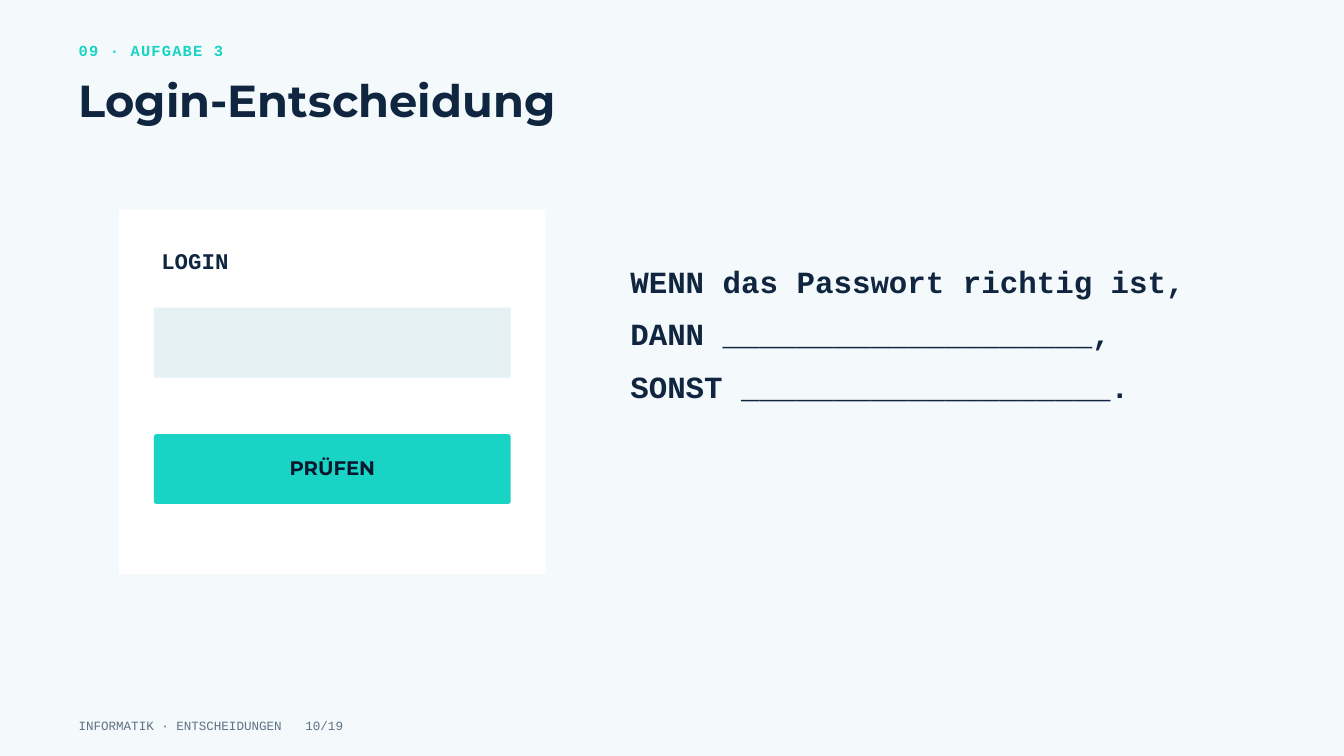
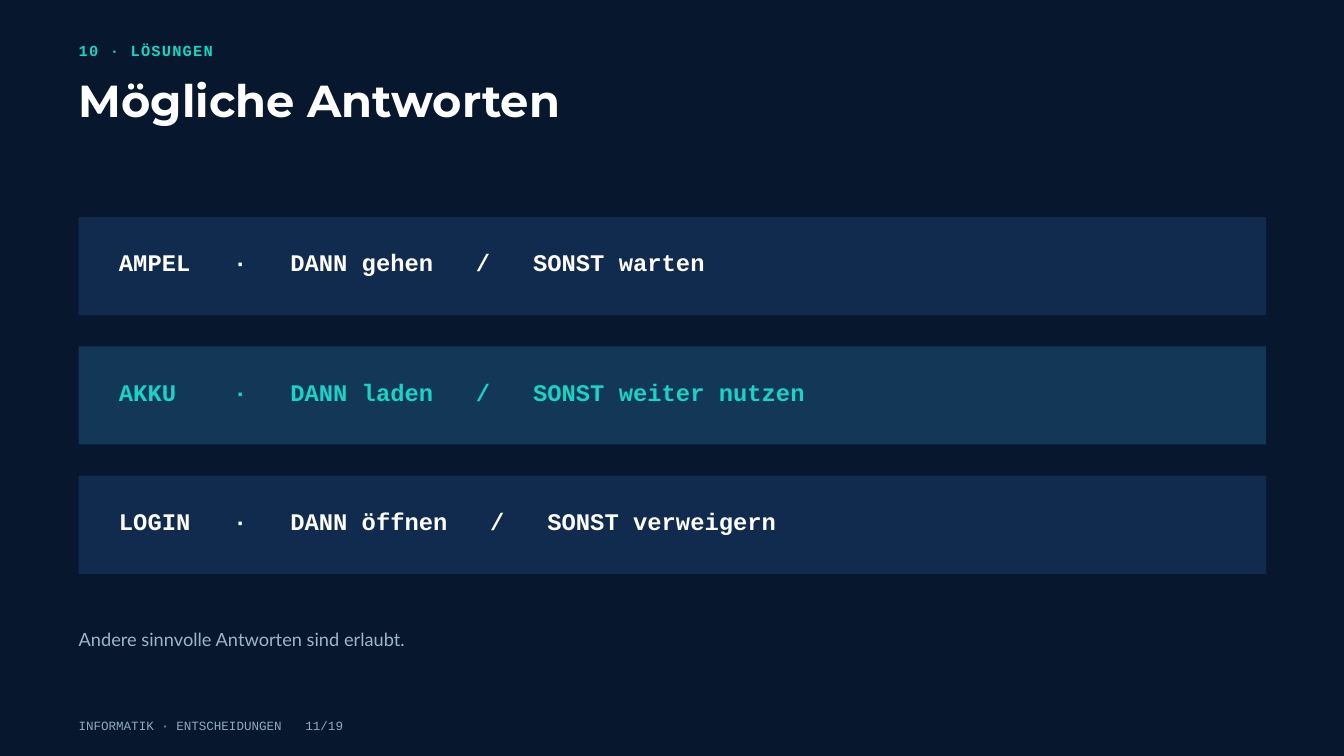
import pptx
import pptx.dml.color
import pptx.enum.shapes
import pptx.enum.text
import pptx.util
from lxml import etree
from pptx.dml.color import RGBColor
from pptx.util import Inches

# Colours
ICE = RGBColor(0xF4, 0xF9, 0xFB)
NIGHT = RGBColor(0x07, 0x18, 0x2E)
NAVY = RGBColor(0x10, 0x25, 0x3F)
WHITE = RGBColor(0xFF, 0xFF, 0xFF)
TEAL = RGBColor(0x19, 0xD3, 0xC5)
FIELD = RGBColor(0xE5, 0xF1, 0xF5)
ROW = RGBColor(0x10, 0x2B, 0x4E)
ROW_ACCENT = RGBColor(0x12, 0x37, 0x57)
NOTE = RGBColor(0x9E, 0xB6, 0xC8)
FOOTER_LIGHT = RGBColor(0x5F, 0x71, 0x86)
FOOTER_DARK = RGBColor(0x8F, 0xA9, 0xBE)

# Fonts and layout
MONO, HEADING, BODY = "Courier New", "Montserrat", "Lato"
MARGIN = 1.17
GAP = 3  # characters between tabbed columns
RECTANGLE = pptx.enum.shapes.MSO_SHAPE.RECTANGLE
ROUNDED = pptx.enum.shapes.MSO_SHAPE.ROUNDED_RECTANGLE


def add_text(slide, box, lines, size, color, spacing, font=MONO, bold=True, tabs=()):
    shape = slide.shapes.add_textbox(*map(Inches, box))
    frame = shape.text_frame
    frame.margin_left = frame.margin_top = frame.margin_right = frame.margin_bottom = 0
    frame.word_wrap = True
    for index, line in enumerate(lines):
        paragraph = frame.paragraphs[0] if index == 0 else frame.add_paragraph()
        paragraph.text = line
        paragraph.line_spacing = pptx.util.Pt(spacing)
        if tabs:
            properties = paragraph._p.get_or_add_pPr()
            tab_list = etree.SubElement(properties, pptx.oxml.ns.qn("a:tabLst"))
            for column in tabs:  # a fixed-width character is 0.6 em wide
                position = pptx.util.Pt(column * 0.6 * size)
                etree.SubElement(tab_list, pptx.oxml.ns.qn("a:tab"), pos=str(int(position)), algn="l")
        paragraph.font.name = font
        paragraph.font.size = pptx.util.Pt(size)
        paragraph.font.bold = bold
        paragraph.font.color.rgb = color
    return shape


def add_block(slide, kind, box, color):
    shape = slide.shapes.add_shape(kind, *map(Inches, box))
    shape.shadow.inherit = False
    shape.fill.solid()
    shape.fill.fore_color.rgb = color
    shape.line.fill.background()
    return shape


presentation = pptx.Presentation()
presentation.slide_width = Inches(20)
presentation.slide_height = Inches(11.25)

# Shared frame: background, section label, title, footer
footer_name = "INFORMATIK · ENTSCHEIDUNGEN"
frames = [
    ("09 · AUFGABE 3", "Login-Entscheidung", "10/19", ICE, NAVY, FOOTER_LIGHT),
    ("10 · LÖSUNGEN", "Mögliche Antworten", "11/19", NIGHT, WHITE, FOOTER_DARK),
]
slides = []
for section, title, page, background, title_color, footer_color in frames:
    slide = presentation.slides.add_slide(presentation.slide_layouts[6])
    slide.background.fill.solid()
    slide.background.fill.fore_color.rgb = background
    label = add_text(slide, (MARGIN, 0.56, 2.29, 0.31), [section], 16.5, TEAL, 23.1)
    label.text_frame.paragraphs[0].runs[0]._r.get_or_add_rPr().set("spc", "130")
    add_text(slide, (MARGIN, 1.16, 15.62, 0.73), [title], 48, title_color, 51.8, HEADING)
    add_text(slide, (MARGIN, 10.64, 7.29, 0.25), [f"{footer_name}\t{page}"], 13.5,
             footer_color, 18.9, bold=False, tabs=[len(footer_name) + GAP])
    slides.append(slide)
task_slide, answer_slide = slides

# Login card
add_block(task_slide, RECTANGLE, (1.77, 3.12, 6.35, 5.42), WHITE)
add_text(task_slide, (2.4, 3.61, 5, 0.43), ["LOGIN"], 24, NAVY, 33.6)
add_block(task_slide, RECTANGLE, (2.29, 4.58, 5.31, 1.04), FIELD)

# Check button
button = add_block(task_slide, ROUNDED, (2.29, 6.46, 5.31, 1.04), TEAL)
button.adjustments[0] = 0.04
button.text_frame.vertical_anchor = pptx.enum.text.MSO_ANCHOR.MIDDLE
paragraph = button.text_frame.paragraphs[0]
paragraph.text = "PRÜFEN"
paragraph.alignment = pptx.enum.text.PP_ALIGN.CENTER
paragraph.line_spacing = pptx.util.Pt(23.1)
paragraph.font.name = HEADING
paragraph.font.size = pptx.util.Pt(21)
paragraph.font.bold = True
paragraph.font.color.rgb = NIGHT

# Sentence to complete
blank = "_" * 20
sentence = ["WENN das Passwort richtig ist,", f"DANN {blank},", f"SONST {blank}."]
add_text(task_slide, (9.38, 3.68, 9.17, 2.26), sentence, 33, NAVY, 56.1)

# Answer rows
answers = [
    ("AMPEL", "DANN gehen", "SONST warten", ROW, WHITE),
    ("AKKU", "DANN laden", "SONST weiter nutzen", ROW_ACCENT, TEAL),
    ("LOGIN", "DANN öffnen", "SONST verweigern", ROW, WHITE),
]
topic_width = max(len(answer[0]) for answer in answers)
for index, (topic, then, otherwise, fill, color) in enumerate(answers):
    top = 3.23 + index * 1.925
    add_block(answer_slide, RECTANGLE, (MARGIN, top, 17.67, 1.46), fill)
    dot = topic_width + GAP
    then_start = dot + 1 + GAP
    slash = then_start + len(then) + GAP
    add_text(answer_slide, (1.77, top + 0.39, 15.62, 0.46),
             ["\t".join([topic, "·", then, "/", otherwise])], 25.5, color, 35.7,
             tabs=[dot, then_start, slash, slash + 1 + GAP])

# Closing note
add_text(answer_slide, (MARGIN, 9.29, 11.46, 0.35), ["Andere sinnvolle Antworten sind erlaubt."],
         19.5, NOTE, 27.3, BODY, bold=False)

presentation.save("out.pptx")
